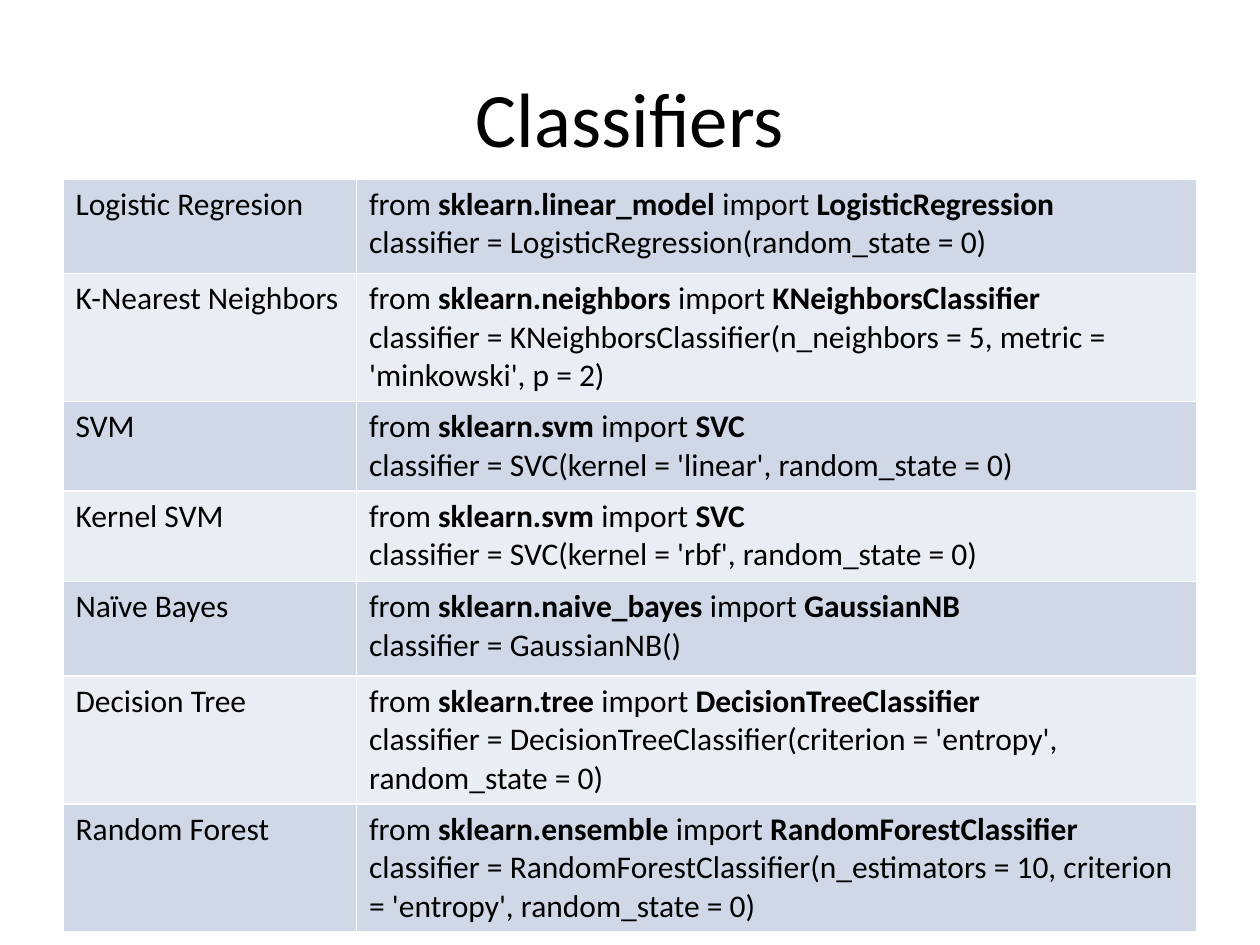
from lxml.etree import SubElement
from pptx import Presentation
from pptx.dml.color import RGBColor
from pptx.enum.text import MSO_ANCHOR, PP_ALIGN
from pptx.oxml.ns import qn
from pptx.util import Inches, Pt

BLACK = RGBColor(0x00, 0x00, 0x00)
WHITE = RGBColor(0xFF, 0xFF, 0xFF)
BANDS = (RGBColor(0xD0, 0xD8, 0xE8), RGBColor(0xE9, 0xED, 0xF4))
FONT = "Calibri"
COLUMN_WIDTHS = (2.33, 6.67)

CLASSIFIERS = [
    ("Logistic Regresion", "linear_model", "LogisticRegression",
     "random_state = 0", 0.75),
    ("K-Nearest Neighbors", "neighbors", "KNeighborsClassifier",
     "n_neighbors = 5, metric = 'minkowski', p = 2", 1),
    ("SVM", "svm", "SVC", "kernel = 'linear', random_state = 0", 0.69),
    ("Kernel SVM", "svm", "SVC", "kernel = 'rbf', random_state = 0", 0.72),
    ("Naïve Bayes", "naive_bayes", "GaussianNB", "", 0.75),
    ("Decision Tree", "tree", "DecisionTreeClassifier",
     "criterion = 'entropy', random_state = 0", 1),
    ("Random Forest", "ensemble", "RandomForestClassifier",
     "n_estimators = 10, criterion = 'entropy', random_state = 0", 0.81),
]


def format_font(font, size, bold=False):
    font.name = FONT
    font.size = Pt(size)
    font.bold = bold
    font.color.rgb = BLACK


def add_title(slide, wording):
    title = slide.shapes.title
    title.left, title.top = Inches(0.5), Inches(0.3)
    title.width, title.height = Inches(9), Inches(1.25)
    title.text_frame.text = wording
    title.text_frame.vertical_anchor = MSO_ANCHOR.MIDDLE
    heading = title.text_frame.paragraphs[0]
    heading.alignment = PP_ALIGN.CENTER
    format_font(heading.runs[0].font, 44)


def add_runs(paragraph, *pieces):
    for wording, bold in pieces:
        run = paragraph.add_run()
        run.text = wording
        format_font(run.font, 18, bold)


def style_cell(cell, color):
    properties = cell._tc.get_or_add_tcPr()
    for side in ("a:lnL", "a:lnR", "a:lnT", "a:lnB"):
        border = SubElement(properties, qn(side), w=str(Pt(1)))
        border_fill = SubElement(border, qn("a:solidFill"))
        SubElement(border_fill, qn("a:srgbClr"), val=str(WHITE))
    cell.fill.solid()
    cell.fill.fore_color.rgb = color


def add_classifier_table(slide):
    height = sum(classifier[-1] for classifier in CLASSIFIERS)
    table = slide.shapes.add_table(
        len(CLASSIFIERS), len(COLUMN_WIDTHS),
        Inches(0.5), Inches(1.42), Inches(9), Inches(height)).table
    table.first_row = False
    table.horz_banding = False
    for column, width in zip(table.columns, COLUMN_WIDTHS):
        column.width = Inches(width)
    for index, (label, module, estimator, arguments, row_height) in enumerate(CLASSIFIERS):
        row = table.rows[index]
        row.height = Inches(row_height)
        label_cell, code_cell = row.cells
        for cell in (label_cell, code_cell):
            style_cell(cell, BANDS[index % 2])
        add_runs(label_cell.text_frame.paragraphs[0], (label, False))
        code = code_cell.text_frame
        add_runs(code.paragraphs[0], ("from ", False), (f"sklearn.{module}", True),
                 (" import ", False), (estimator, True))
        add_runs(code.add_paragraph(), (f"classifier = {estimator}({arguments})", False))


def main():
    presentation = Presentation()
    presentation.slide_width = Inches(10)
    presentation.slide_height = Inches(7.5)
    slide = presentation.slides.add_slide(presentation.slide_layouts[5])
    add_title(slide, "Classifiers")
    add_classifier_table(slide)
    presentation.save("out.pptx")


if __name__ == "__main__":
    main()
